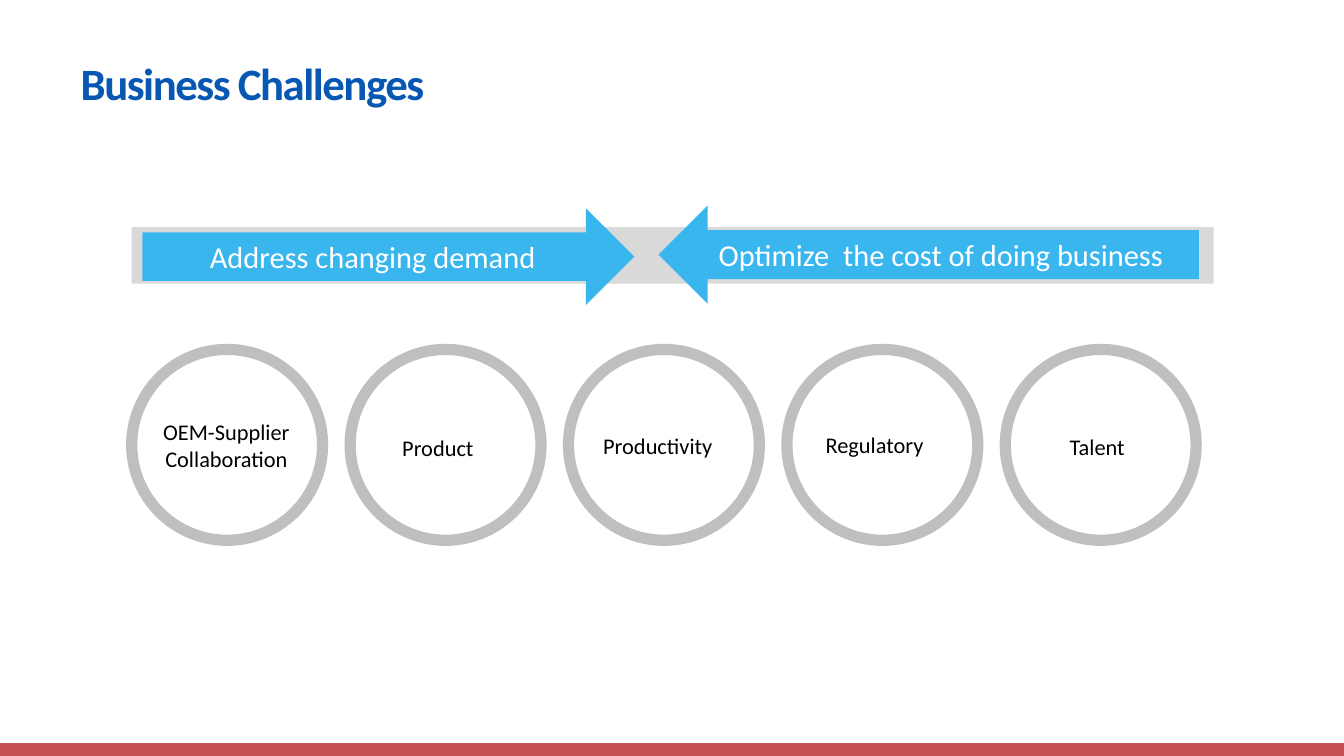
import pptx
import pptx.util
import pptx.dml.color
import pptx.enum.shapes
import pptx.enum.text

Inches = pptx.util.Inches
Pt = pptx.util.Pt
RGBColor = pptx.dml.color.RGBColor
MSO_SHAPE = pptx.enum.shapes.MSO_SHAPE
PP_ALIGN = pptx.enum.text.PP_ALIGN
MSO_ANCHOR = pptx.enum.text.MSO_ANCHOR

TITLE_BLUE = RGBColor(0x07, 0x57, 0xB3)
ARROW_BLUE = RGBColor(0x39, 0xB6, 0xEE)
BAND_GREY = RGBColor(0xD9, 0xD9, 0xD9)
RING_GREY = RGBColor(0xBF, 0xBF, 0xBF)
FOOTER_RED = RGBColor(0xC6, 0x4F, 0x51)
BLACK = RGBColor(0, 0, 0)
WHITE = RGBColor(0xFF, 0xFF, 0xFF)

CHALLENGES = [
    ("OEM-Supplier Collaboration", 0.08, 0.46, 1.25, 0.5, PP_ALIGN.CENTER),
    ("Product", 0.29, 0.58, 0.84, 0.25, PP_ALIGN.LEFT),
    ("Productivity", 0.16, 0.57, 1.1, 0.33, PP_ALIGN.LEFT),
    ("Regulatory", 0.19, 0.56, 1.04, 0.34, PP_ALIGN.LEFT),
    ("Talent", 0.38, 0.57, 0.67, 0.29, PP_ALIGN.LEFT),
]


def write(frame, text, size, color, align, bold=False):
    """Put one formatted paragraph into a text frame."""
    frame.word_wrap = True
    frame.text = text
    paragraph = frame.paragraphs[0]
    paragraph.alignment = align
    font = paragraph.runs[0].font
    font.name, font.size, font.bold = "Calibri", Pt(size), bold
    font.color.rgb = color


def paint(shape, color):
    """Give a shape a flat fill without outline or shadow."""
    shape.shadow.inherit = False
    shape.fill.solid()
    shape.fill.fore_color.rgb = color
    shape.line.fill.background()


def add_filled(slide, preset, left, top, width, height, color):
    """Add a flat preset shape."""
    shape = slide.shapes.add_shape(
        preset, Inches(left), Inches(top), Inches(width), Inches(height))
    paint(shape, color)
    return shape


def add_footer(slide, left, top, width, height):
    """Draw the strip along the bottom edge."""
    right, bottom = left + width, top + height
    outline = slide.shapes.build_freeform(Inches(left), Inches(top))
    corners = [(right, top), (right, bottom), (left, bottom)]
    outline.add_line_segments([(Inches(x), Inches(y)) for x, y in corners])
    paint(outline.convert_to_shape(), FOOTER_RED)


def place_title(slide, left, top, width, height):
    """Move and format the title placeholder."""
    title = slide.shapes.title
    title.left, title.top = Inches(left), Inches(top)
    title.width, title.height = Inches(width), Inches(height)
    frame = title.text_frame
    write(frame, "Business Challenges", 24, TITLE_BLUE, PP_ALIGN.LEFT, True)
    frame.vertical_anchor = MSO_ANCHOR.MIDDLE
    frame.auto_size = pptx.enum.text.MSO_AUTO_SIZE.NONE
    frame.paragraphs[0].runs[0].font._element.set("spc", "-80")


def add_arrow(slide, preset, text, left, top, width, height):
    """Add one labelled block arrow."""
    arrow = add_filled(slide, preset, left, top, width, height, ARROW_BLUE)
    frame = arrow.text_frame
    frame.margin_left = frame.margin_right = Inches(0.05)
    frame.margin_top = frame.margin_bottom = Inches(0.02)
    frame.vertical_anchor = MSO_ANCHOR.MIDDLE
    write(frame, text, 16.3, WHITE, PP_ALIGN.CENTER)


def add_pressures(slide, left, top, width, height):
    """Draw the grey band with two opposing arrows."""
    add_filled(slide, MSO_SHAPE.RECTANGLE, left, top, width, height, BAND_GREY)
    add_arrow(slide, MSO_SHAPE.RIGHT_ARROW, "Address changing demand ",
              left + 0.08, top - 0.14, 3.66, 0.72)
    add_arrow(slide, MSO_SHAPE.LEFT_ARROW, "Optimize  the cost of doing business",
              left + 3.92, top - 0.16, 4.02, 0.73)


def add_challenges(slide, left, top, width, diameter):
    """Spread the ringed challenges evenly across the given width."""
    pitch = (width - diameter) / (len(CHALLENGES) - 1)
    for index, (text, dx, dy, label_width, label_height, align) in enumerate(CHALLENGES):
        ring_left = left + index * pitch
        label = slide.shapes.add_textbox(
            Inches(ring_left + dx), Inches(top + dy),
            Inches(label_width), Inches(label_height))
        write(label.text_frame, text, 12, BLACK, align)
        ring = slide.shapes.add_shape(
            MSO_SHAPE.OVAL, Inches(ring_left), Inches(top),
            Inches(diameter), Inches(diameter))
        ring.shadow.inherit = False
        ring.fill.background()
        ring.line.color.rgb = RING_GREY
        ring.line.width = Pt(6)


def main():
    """Build and save the slide."""
    deck = pptx.Presentation()
    deck.slide_width = Inches(10)
    deck.slide_height = deck.slide_width * 9 // 16
    slide = deck.slides.add_slide(deck.slide_layouts[5])
    add_footer(slide, 0, 5.53, 10, 0.1)
    place_title(slide, 0.5, 0.42, 8.75, 0.39)
    add_pressures(slide, 0.98, 1.69, 8.05, 0.42)
    add_challenges(slide, 0.98, 2.6, 7.92, 1.42)
    deck.save("out.pptx")


if __name__ == "__main__":
    main()
